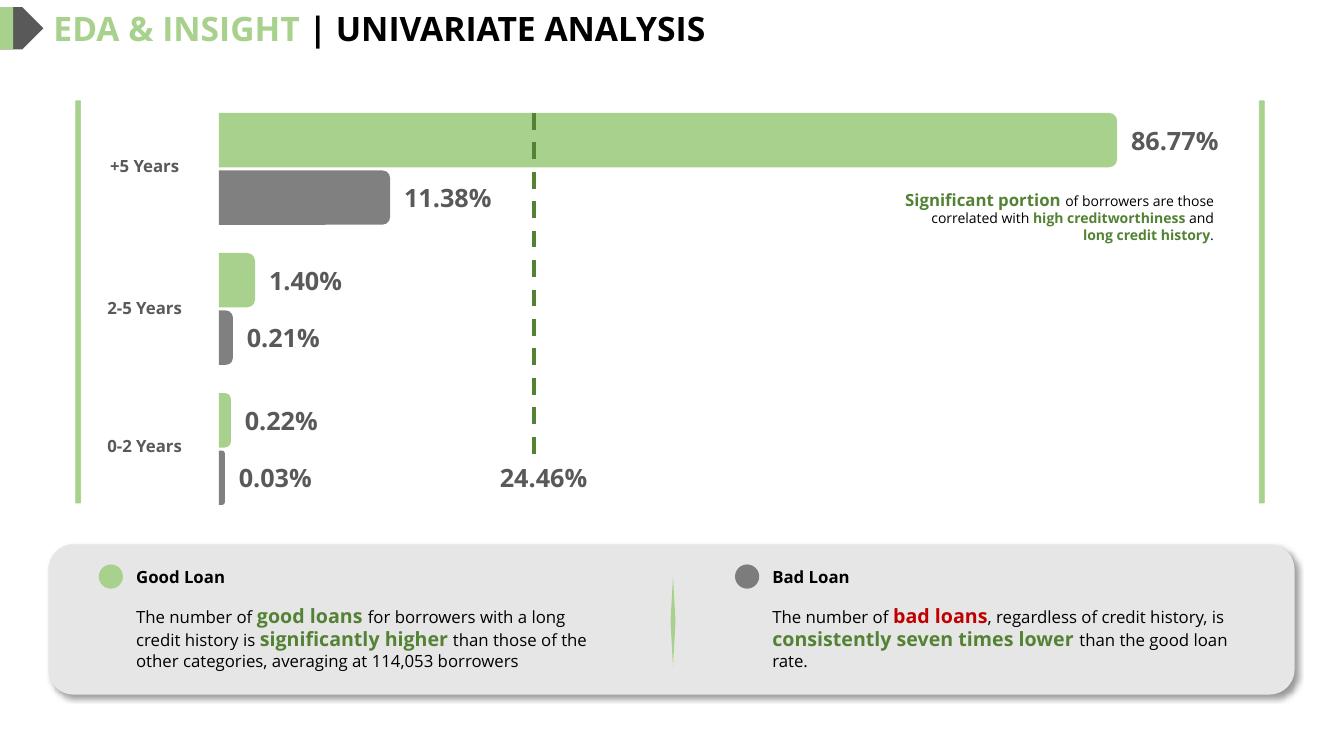
from lxml import etree
from pptx import Presentation
from pptx import util as u
from pptx.dml.color import RGBColor
from pptx.enum import dml, shapes, text
from pptx.oxml.ns import qn

GREEN, DARK_GREEN, GREY = "A9D18E", "548235", "808080"
DARK_GREY, BLACK, RED, PANEL = "595959", "000000", "C00000", "E7E6E6"
SHAPE = shapes.MSO_SHAPE
LEFT, CENTER, RIGHT = text.PP_ALIGN.LEFT, text.PP_ALIGN.CENTER, text.PP_ALIGN.RIGHT


def rgb(value):
    return RGBColor.from_string(value)


class Deck:
    font = "Open Sans"

    def __init__(self):
        self.prs = Presentation()
        self.prs.slide_width = u.Inches(13.33)
        self.prs.slide_height = u.Inches(7.5)
        self.s = self.prs.slides.add_slide(self.prs.slide_layouts[5])

    def set_text(self, sp, runs, align=LEFT, middle=False, inset=None):
        tf = sp.text_frame
        tf.word_wrap = True
        tf.auto_size = text.MSO_AUTO_SIZE.NONE
        tf.vertical_anchor = text.MSO_ANCHOR.MIDDLE if middle else text.MSO_ANCHOR.TOP
        if inset is not None:
            tf.margin_left = tf.margin_right = u.Inches(inset)
            tf.margin_top = tf.margin_bottom = u.Inches(inset)
        p = tf.paragraphs[0]
        p.alignment = align
        p.font.name = self.font
        for words, size, color, bold in runs:
            r = p.add_run()
            r.text = words
            r.font.size = u.Pt(size)
            r.font.bold = bold
            r.font.color.rgb = rgb(color)

    def title(self, x, y, w, h, runs):
        sp = self.s.shapes.title
        sp.left, sp.top, sp.width, sp.height = map(u.Inches, (x, y, w, h))
        self.set_text(sp, runs)

    def label(self, x, y, w, words, size, align=LEFT):
        sp = self.s.shapes.add_textbox(*map(u.Inches, (x, y, w, 0.4)))
        self.set_text(sp, [(words, size, DARK_GREY, True)], align)

    def note(self, x, y, w, h, runs, align=LEFT):
        sp = self.s.shapes.add_textbox(*map(u.Inches, (x, y, w, h)))
        self.set_text(sp, runs, align, middle=True, inset=0.13)

    def shape(self, kind, x, y, w, h, color):
        sp = self.s.shapes.add_shape(kind, *map(u.Inches, (x, y, w, h)))
        sp.shadow.inherit = False
        sp.fill.solid()
        sp.fill.fore_color.rgb = rgb(color)
        sp.line.fill.background()
        return sp

    def panel(self, x, y, w, h, color):
        sp = self.shape(SHAPE.ROUNDED_RECTANGLE, x, y, w, h, color)
        effects = sp._element.spPr.find(qn("a:effectLst"))
        shadow = etree.SubElement(effects, qn("a:outerShdw"), blurRad=str(u.Pt(4)),
                                  dist=str(u.Pt(3)), dir="2700000", algn="tl", rotWithShape="0")
        tone = etree.SubElement(shadow, qn("a:srgbClr"), val=BLACK)
        etree.SubElement(tone, qn("a:alpha"), val="40000")

    def bar(self, x, y, length, thick, color):
        sp = self.shape(SHAPE.ROUND_2_SAME_RECTANGLE, x + (length - thick) / 2,
                        y + (thick - length) / 2, thick, length, color)
        sp.rotation = 90
        sp.adjustments[0] = min(0.5, 0.08 / min(length, thick))

    def dashed_line(self, x, top, bottom, color):
        line = self.s.shapes.add_connector(shapes.MSO_CONNECTOR.STRAIGHT,
                                           *map(u.Inches, (x, top, x, bottom)))
        line.line.color.rgb = rgb(color)
        line.line.width = u.Pt(3)
        line.line.dash_style = dml.MSO_LINE.DASH
        etree.SubElement(line._element.spPr, qn("a:effectLst"))


def add_header(deck):
    deck.title(0.43, 0.03, 11.05, 0.5, [("EDA & INSIGHT ", 24, GREEN, True),
                                        ("| UNIVARIATE ANALYSIS", 24, BLACK, True)])
    deck.shape(SHAPE.PENTAGON, 0, 0.07, 0.43, 0.42, DARK_GREY)
    deck.shape(SHAPE.RECTANGLE, 0, 0.07, 0.13, 0.42, GREEN)


def add_bars(deck):
    axis, top, thick = 2.17, 1.12, 0.54
    categories = [
        ("+5 Years", 1.5, [("86.77%", 8.91), ("11.38%", 1.7)]),
        ("2-5 Years", 2.9, [("1.40%", 0.36), ("0.21%", 0.14)]),
        ("0-2 Years", 4.27, [("0.22%", 0.12), ("0.03%", 0.06)]),
    ]
    for i, (name, name_top, bars) in enumerate(categories):
        deck.label(0.68, name_top, 1.51, name, 12, CENTER)
        for j, (value, length) in enumerate(bars):
            y = top + 1.39 * i + 0.57 * j
            deck.bar(axis, y, length, thick, (GREEN, GREY)[j])
            deck.label(axis + length + 0.04, y + 0.07, 1.07, value, 18)
    for x in (0.75, 12.49):
        sp = deck.shape(SHAPE.ROUNDED_RECTANGLE, x, 1, 0.05, 3.99, GREEN)
        sp.line.color.rgb = rgb(GREEN)
        sp.line.width = u.Pt(0.5)
    deck.label(4.86, 4.54, 1.07, "24.46%", 18)
    deck.dashed_line(5.3, top, 4.53, DARK_GREEN)
    deck.note(8.83, 1.86, 3.34, 0.58, [
        ("Significant portion ", 12, DARK_GREEN, True),
        ("of borrowers are those correlated with ", 10, BLACK, False),
        ("high creditworthiness", 10, DARK_GREEN, True),
        (" and ", 10, BLACK, False),
        ("long credit history", 10, DARK_GREEN, True),
        (".", 10, BLACK, False)], RIGHT)


def add_legend(deck):
    deck.panel(0.48, 5.4, 12.36, 1.49, PANEL)
    deck.shape(SHAPE.DIAMOND, 6.65, 5.72, 0.05, 0.89, GREEN)
    entries = [
        (0.98, "Good Loan", GREEN, 4.88, [
            ("The number of ", 12, BLACK, False),
            ("good loans ", 14, DARK_GREEN, True),
            ("for borrowers with a long credit history is ", 12, BLACK, False),
            ("significantly higher", 14, DARK_GREEN, True),
            (" than those of the other categories, averaging at 114,053 borrowers",
             12, BLACK, False)]),
        (7.29, "Bad Loan", "7C7C7C", 5.14, [
            ("The number of ", 12, BLACK, False),
            ("bad loans", 14, RED, True),
            (", regardless of credit history, is ", 12, BLACK, False),
            ("consistently seven times lower ", 14, DARK_GREEN, True),
            ("than the good loan rate.", 12, BLACK, False)]),
    ]
    for x, name, color, width, runs in entries:
        deck.shape(SHAPE.OVAL, x, 5.6, 0.24, 0.24, color)
        deck.note(x + 0.24, 5.52, 3.01, 0.4, [(name, 12, BLACK, True)])
        deck.note(x + 0.24, 6.03, width, 0.58, runs)


def main():
    deck = Deck()
    add_header(deck)
    add_bars(deck)
    add_legend(deck)
    deck.prs.save("out.pptx")


if __name__ == "__main__":
    main()
